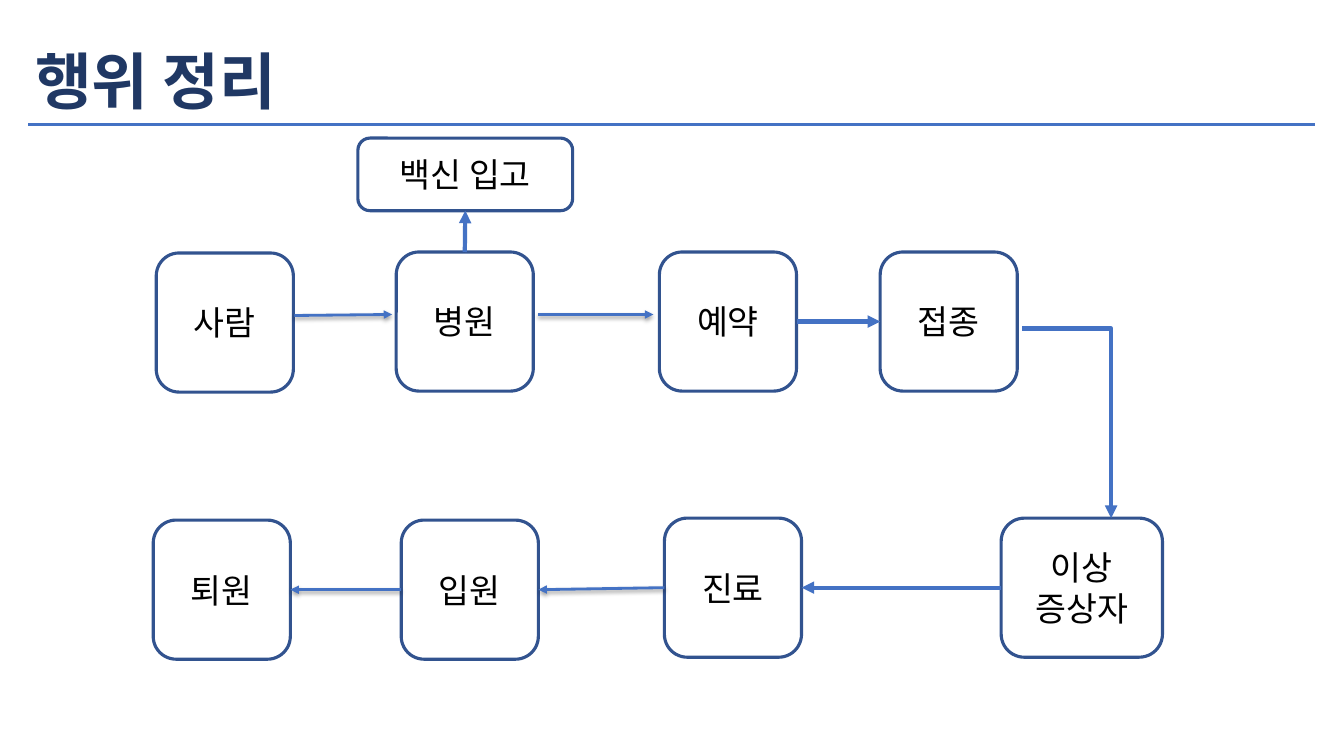
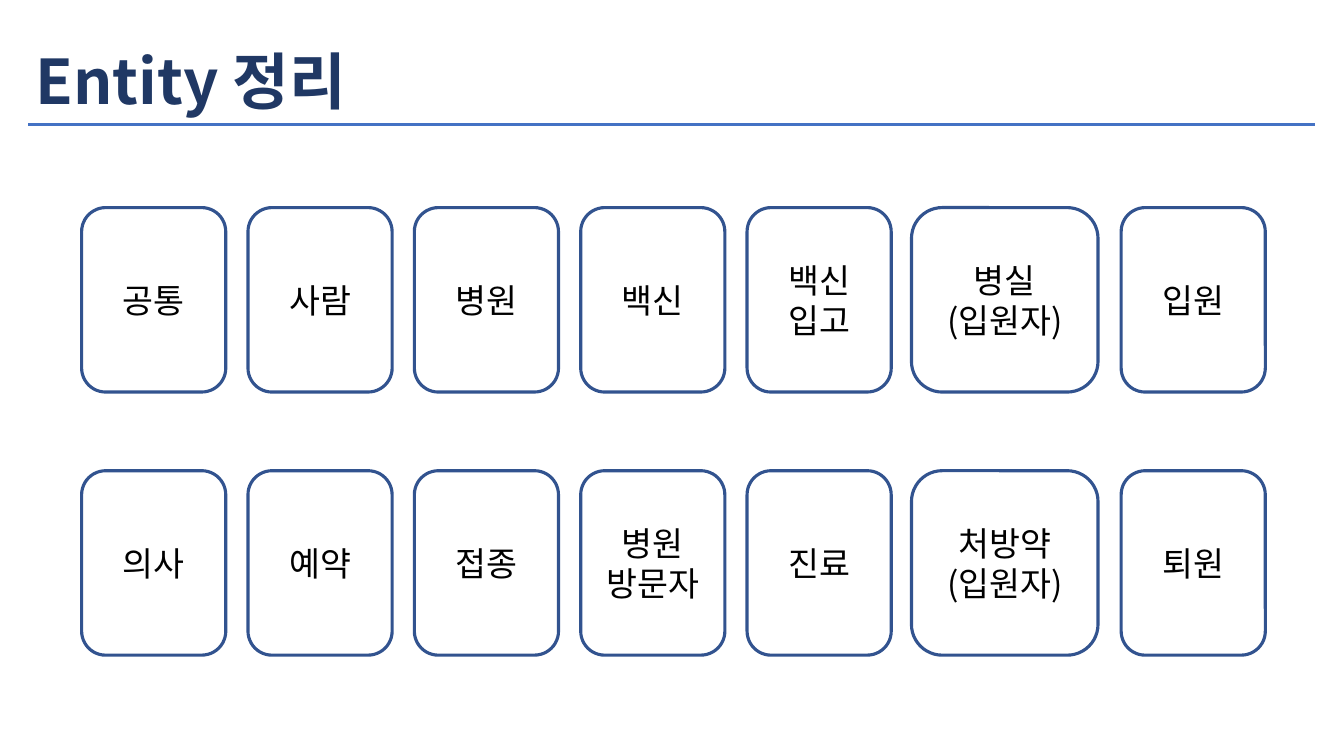
from lxml import etree
from pptx import Presentation
from pptx.dml.color import RGBColor
from pptx.enum.shapes import MSO_CONNECTOR, MSO_SHAPE
from pptx.enum.text import MSO_ANCHOR, MSO_AUTO_SIZE, PP_ALIGN
from pptx.oxml.ns import qn
from pptx.util import Emu, Pt

PX = 9144  # EMU; 100 px to the inch
TITLE_ONLY = 5
STRAIGHT = MSO_CONNECTOR.STRAIGHT
RECTANGLE, ROUNDED = MSO_SHAPE.RECTANGLE, MSO_SHAPE.ROUNDED_RECTANGLE
LEFT, CENTER = PP_ALIGN.LEFT, PP_ALIGN.CENTER
MIDDLE, NO_AUTOFIT = MSO_ANCHOR.MIDDLE, MSO_AUTO_SIZE.NONE

# Connection sites of a box
TOP_SITE, LEFT_SITE, BOTTOM_SITE, RIGHT_SITE = range(4)


def px(value):
    return Emu(value * PX)


def color(hex_string):
    return RGBColor.from_string(hex_string)


class Deck:
    FONT = "Noto Sans CJK KR"
    NAVY = "203864"
    BLUE = "4472C4"
    OUTLINE = "32538F"
    BLACK = "000000"
    WHITE = "FFFFFF"

    def __init__(self):
        self.presentation = Presentation()
        self.presentation.slide_width = px(1333)
        self.presentation.slide_height = px(750)
        self.slide = None

    def add_slide(self, title):
        layout = self.presentation.slide_layouts[TITLE_ONLY]
        self.slide = self.presentation.slides.add_slide(layout)
        shape = self.slide.shapes.title
        shape.left, shape.top, shape.width, shape.height = map(px, (30, 32, 1139, 104))
        self.set_text(shape, title, 44, self.NAVY, LEFT, bold=True)
        shape.text_frame.paragraphs[0].line_spacing = 0.9
        self.shape(RECTANGLE, 27, 121, 1278, 5, self.BLUE, self.WHITE, 1)

    def set_text(self, shape, text, size, text_color, alignment, bold=False):
        frame = shape.text_frame
        frame.word_wrap = True
        frame.auto_size = NO_AUTOFIT
        frame.vertical_anchor = MIDDLE
        frame.margin_left = frame.margin_right = px(5)
        frame.margin_top = frame.margin_bottom = px(5)
        frame.text = text
        for paragraph in frame.paragraphs:
            paragraph.alignment = alignment
            font = paragraph.font
            font.size, font.bold, font.name = Pt(size), bold, self.FONT
            font.color.rgb = color(text_color)
            properties = paragraph._p.find(".//" + qn("a:defRPr"))
            etree.SubElement(properties, qn("a:ea"), typeface=self.FONT)

    def shape(self, kind, left, top, width, height, fill, line, line_width):
        shape = self.slide.shapes.add_shape(kind, *map(px, (left, top, width, height)))
        shape.shadow.inherit = False
        if fill:
            shape.fill.solid()
            shape.fill.fore_color.rgb = color(fill)
        else:
            shape.fill.background()
        shape.line.color.rgb = color(line)
        shape.line.width = Pt(line_width)
        return shape

    def box(self, text, left, top, width, height):
        shape = self.shape(ROUNDED, left, top, width, height, None, self.OUTLINE, 2.25)
        self.set_text(shape, text, 24, self.BLACK, CENTER)
        return shape

    def style_arrow(self, shape, width):
        shape.line.color.rgb = color(self.BLUE)
        shape.line.width = Pt(width)
        line = shape._element.spPr.find(qn("a:ln"))
        etree.SubElement(line, qn("a:tailEnd"), type="triangle")

    def connector(self, start, end, width, shadow):
        connector = self.slide.shapes.add_connector(STRAIGHT, *map(px, start + end))
        self.style_arrow(connector, width)
        effects = etree.SubElement(connector._element.spPr, qn("a:effectLst"))
        if shadow:
            outer = etree.SubElement(
                effects, qn("a:outerShdw"), blurRad=str(Pt(3)), dist=str(Pt(1.6)),
                dir="5400000", rotWithShape="0")
            black = etree.SubElement(outer, qn("a:srgbClr"), val=self.BLACK)
            etree.SubElement(black, qn("a:alpha"), val="38000")
        return connector

    def link(self, source, source_site, target, target_site, width=3, shadow=False):
        """Draw an arrow glued to a connection site of each box."""
        connector = self.connector((0, 0), (0, 0), width, shadow)
        connector.begin_connect(source, source_site)
        connector.end_connect(target, target_site)

    def bent_arrow(self, start, *points):
        builder = self.slide.shapes.build_freeform(*start, scale=PX)
        builder.add_line_segments(points, close=False)
        shape = builder.convert_to_shape()
        shape.shadow.inherit = False
        shape.fill.background()
        self.style_arrow(shape, 3)


def add_behaviour_slide(deck):
    deck.add_slide("행위 정리")
    width, height = 136, 138
    deck.box("사람", 155, 251, width, height)
    hospital = deck.box("병원", 393, 250, width, height)
    booking = deck.box("예약", 654, 250, width, height)
    vaccination = deck.box("접종", 873, 250, width, height)
    stock = deck.box("백신 입고", 355, 137, 213, 72)
    discharge = deck.box("퇴원", 152, 516, width, height)
    admission = deck.box("입원", 398, 516, width, height)
    treatment = deck.box("진료", 659, 514, width, height)
    patient = deck.box("이상\n증상자", 993, 514, 160, height)

    deck.connector((292, 313), (389, 312), 2, shadow=True)
    deck.connector((534, 312), (648, 312), 2, shadow=True)
    deck.link(hospital, TOP_SITE, stock, BOTTOM_SITE)
    deck.link(booking, RIGHT_SITE, vaccination, LEFT_SITE)
    deck.bent_arrow((1014, 326), (1102, 326), (1102, 514))
    deck.link(patient, LEFT_SITE, treatment, RIGHT_SITE)
    deck.link(treatment, LEFT_SITE, admission, RIGHT_SITE, 2, shadow=True)
    deck.link(admission, LEFT_SITE, discharge, RIGHT_SITE, 2, shadow=True)


def add_entity_slide(deck):
    deck.add_slide("Entity 정리")
    columns = [(81 + 165 * index, 143) for index in range(5)]
    columns += [(904, 185), (1112, 143)]
    rows = {
        206: ["공통", "사람", "병원", "백신", "백신\n입고", "병실\n(입원자)", "입원"],
        467: ["의사", "예약", "접종", "병원\n방문자", "진료", "처방약\n(입원자)", "퇴원"],
    }
    for top, entities in rows.items():
        for (left, width), entity in zip(columns, entities):
            deck.box(entity, left, top, width, 183)


def main():
    deck = Deck()
    add_behaviour_slide(deck)
    add_entity_slide(deck)
    deck.presentation.save("out.pptx")


if __name__ == "__main__":
    main()
